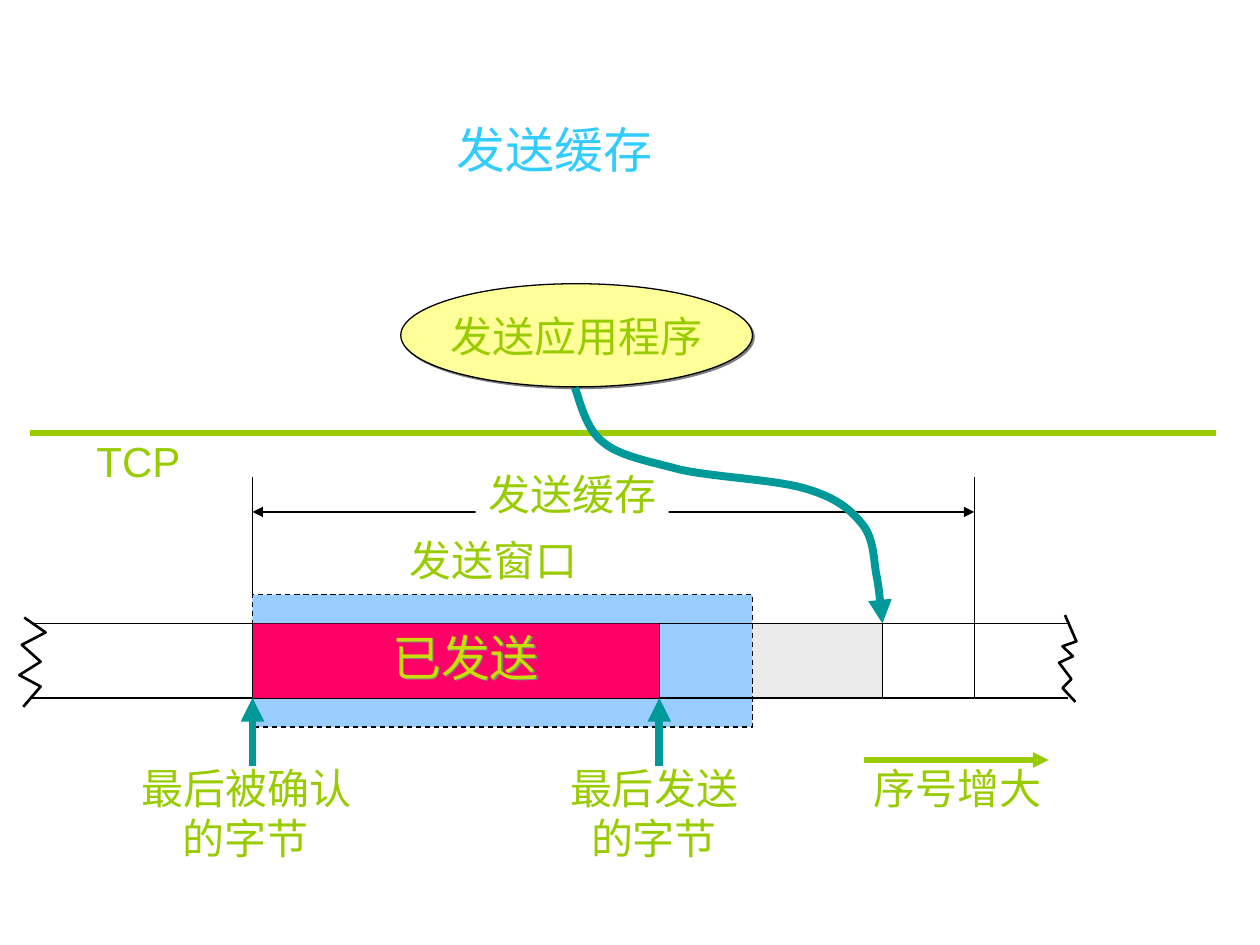
from lxml import etree
from pptx import Presentation
from pptx.dml.color import RGBColor
from pptx.enum.dml import MSO_LINE
from pptx.enum.shapes import MSO_CONNECTOR, MSO_SHAPE
from pptx.enum.text import MSO_ANCHOR, PP_ALIGN
from pptx.oxml import parse_xml
from pptx.oxml.ns import nsdecls, qn
from pptx.util import Cm, Pt

BLACK = RGBColor(0x00, 0x00, 0x00)
WHITE = RGBColor(0xFF, 0xFF, 0xFF)
GREEN = RGBColor(0x99, 0xCC, 0x00)
LIME = RGBColor(0xC9, 0xDE, 0x06)
SKY = RGBColor(0x33, 0xCC, 0xFF)
TEAL = RGBColor(0x00, 0x99, 0x99)
YELLOW = RGBColor(0xFF, 0xFF, 0x99)
GREY = RGBColor(0xEA, 0xEA, 0xEA)
BLUE = RGBColor(0x99, 0xCC, 0xFF)
PINK = RGBColor(0xFF, 0x00, 0x66)

RECT, OVAL = MSO_SHAPE.RECTANGLE, MSO_SHAPE.OVAL
STRAIGHT, DASH = MSO_CONNECTOR.STRAIGHT, MSO_LINE.DASH
CENTER = PP_ALIGN.CENTER
TOP, MIDDLE = MSO_ANCHOR.TOP, MSO_ANCHOR.MIDDLE

SHADOW = (
    f'<a:effectLst {nsdecls("a")}><a:outerShdw dist="17780" dir="2700000" '
    'algn="ctr" rotWithShape="0"><a:srgbClr val="808080"/></a:outerShdw></a:effectLst>'
)

LEFT_TEAR = [(-0.13, -0.12), (0.3, 0.18), (-0.18, 0.43), (0.2, 0.77),
             (-0.23, 1.04), (0.2, 1.27), (-0.15, 1.68)]
RIGHT_TEAR = [(-0.05, -0.17), (0.18, 0.36), (-0.1, 0.46), (0.11, 0.66),
              (-0.17, 0.79), (0.08, 1.12), (-0.1, 1.3), (0.16, 1.58)]
WRITE_CURVE = [
    ((0.08, 0.18), (0.2, 0.81), (0.56, 1.09)),
    ((0.89, 1.37), (1.45, 1.47), (2.13, 1.65)),
    ((2.82, 1.8), (4.04, 1.85), (4.65, 2.03)),
    ((5.26, 2.21), (5.54, 2.44), (5.77, 2.72)),
    ((6.02, 3), (6.02, 3.4), (6.07, 3.73)),
    ((6.15, 4.09), (6.17, 4.55), (6.2, 4.75)),
]


def set_text(sp, text, size=24, color=GREEN, anchor=TOP):
    tf = sp.text_frame
    tf.word_wrap = False
    tf.margin_left = tf.margin_right = 0
    tf.vertical_anchor = anchor
    tf.text = text
    for p in tf.paragraphs:
        p.alignment = CENTER
        p.font.name = "Arial"
        p.font.size = Pt(size)
        p.font.color.rgb = color


def add_label(s, x, y, w, h, text, **style):
    sp = s.shapes.add_textbox(Cm(x), Cm(y), Cm(w), Cm(h))
    set_text(sp, text, **style)
    return sp


def add_block(s, kind, x, y, w, h, fill, outlined=False):
    sp = s.shapes.add_shape(kind, Cm(x), Cm(y), Cm(w), Cm(h))
    sp.shadow.inherit = False
    sp.fill.solid()
    sp.fill.fore_color.rgb = fill
    if outlined:
        sp.line.color.rgb = BLACK
        sp.line.width = Pt(0.75)
    else:
        sp.line.fill.background()
    return sp


def add_shadow(sp):
    sp.shadow.inherit = False
    spPr = sp._element.spPr
    spPr.replace(spPr.find(qn("a:effectLst")), parse_xml(SHADOW))


def style_line(sp, color, width, ends=()):
    sp.line.color.rgb = color
    sp.line.width = Pt(width)
    ln = sp.line._get_or_add_ln()
    for end in ends:
        etree.SubElement(ln, qn(f"a:{end}"), type="triangle")


def add_line(s, x1, y1, x2, y2, color=BLACK, width=0.75, ends=()):
    sp = s.shapes.add_connector(STRAIGHT, Cm(x1), Cm(y1), Cm(x2), Cm(y2))
    style_line(sp, color, width, ends)
    etree.SubElement(sp._element.spPr, qn("a:effectLst"))


def add_outline(s, x, y, points, color, width, ends=()):
    pts = [(Cm(x + dx), Cm(y + dy)) for dx, dy in points]
    builder = s.shapes.build_freeform(*pts[0])
    builder.add_line_segments(pts[1:], close=False)
    sp = builder.convert_to_shape()
    sp.shadow.inherit = False
    sp.fill.background()
    style_line(sp, color, width, ends)


def curve_points(segments, steps=12):
    points = [(0, 0)]
    for b, c, d in segments:
        a = points[-1]
        for i in range(1, steps + 1):
            t = i / steps
            u = 1 - t
            points.append(tuple(
                u**3 * a[k] + 3 * u * u * t * b[k] + 3 * u * t * t * c[k] + t**3 * d[k]
                for k in (0, 1)))
    return points


def add_title(s, x, y, w, h):
    add_label(s, x, y, w, h, "发送缓存", size=28, color=SKY, anchor=MIDDLE)


def add_application(s, x, y, w, h):
    sp = add_block(s, OVAL, x + 7.47, y, 7.09, 2.08, YELLOW, outlined=True)
    add_shadow(sp)
    set_text(sp, "发送应用程序", anchor=MIDDLE)
    add_line(s, x, y + h, x + w, y + h, GREEN, 3)
    add_label(s, x + 1.09, y + h - 0.07, 2.18, 1.27, "TCP")


def add_buffer(s, x, y, w, h):
    acked, sent, written, end = (x + d for d in (4.47, 12.67, 17.17, 19.02))
    strip_h = 1.5
    top, bottom = y + h - strip_h, y + h
    window_y = top - 0.58

    add_line(s, acked, y + 0.71, end, y + 0.71, ends=("headEnd", "tailEnd"))
    add_block(s, RECT, sent, top, written - sent, strip_h, GREY)
    sp = add_block(s, RECT, acked, window_y, 10.08, 2.67, BLUE, outlined=True)
    sp.line.dash_style = DASH
    for edge in (top, bottom):
        add_line(s, x, edge, x + w, edge)
    sp = add_block(s, RECT, acked + 4.5, y - 0.28, 3.89, 1.27, WHITE)
    set_text(sp, "发送缓存")
    add_label(s, acked + 2.92, y + 1.04, 3.89, 1.27, "发送窗口")
    add_block(s, RECT, acked, top, sent - acked, strip_h, PINK)
    for edge in (acked, sent, written):
        add_line(s, edge, top, edge, bottom)
    sp = add_label(s, acked + 2.57, top - 0.05, 3.45, 1.45, "已发送", size=28, color=LIME)
    add_shadow(sp)
    add_line(s, acked, y, acked, window_y)
    add_line(s, end, y, end, bottom)
    add_outline(s, x, top, LEFT_TEAR, BLACK, 1.5)
    add_outline(s, x + w, top, RIGHT_TEAR, BLACK, 1.5)
    add_outline(s, written - 6.2, top - 4.75, curve_points(WRITE_CURVE),
                TEAL, 4.5, ("tailEnd",))


def add_pointers(s, x, y, w, h):
    pointers = [(0, -2.49, 4.72, "最后被确认\n的字节"),
                (8.2, -2.05, 3.89, "最后发送\n的字节")]
    for dx, label_dx, label_w, text in pointers:
        add_line(s, x + dx, y + 1.37, x + dx, y, TEAL, 4.5, ("tailEnd",))
        add_label(s, x + dx + label_dx, y + 1.17, label_w, h - 1.17, text)
    add_line(s, x + w - 3.73, y + 1.25, x + w, y + 1.25, GREEN, 3, ("tailEnd",))
    add_label(s, x + w - 3.78, y + 1.17, 3.89, 1.27, "序号增大")


def main():
    prs = Presentation()
    prs.slide_width, prs.slide_height = Cm(25.4), Cm(19.05)
    s = prs.slides.add_slide(prs.slide_layouts[6])
    add_title(s, 1.19, 2.11, 19.96, 1.78)
    add_application(s, 0.61, 5.72, 23.9, 3.01)
    add_buffer(s, 0.62, 9.61, 20.9, 4.46)
    add_pointers(s, 5.09, 14.07, 16.05, 3.46)
    prs.save("out.pptx")


if __name__ == "__main__":
    main()
